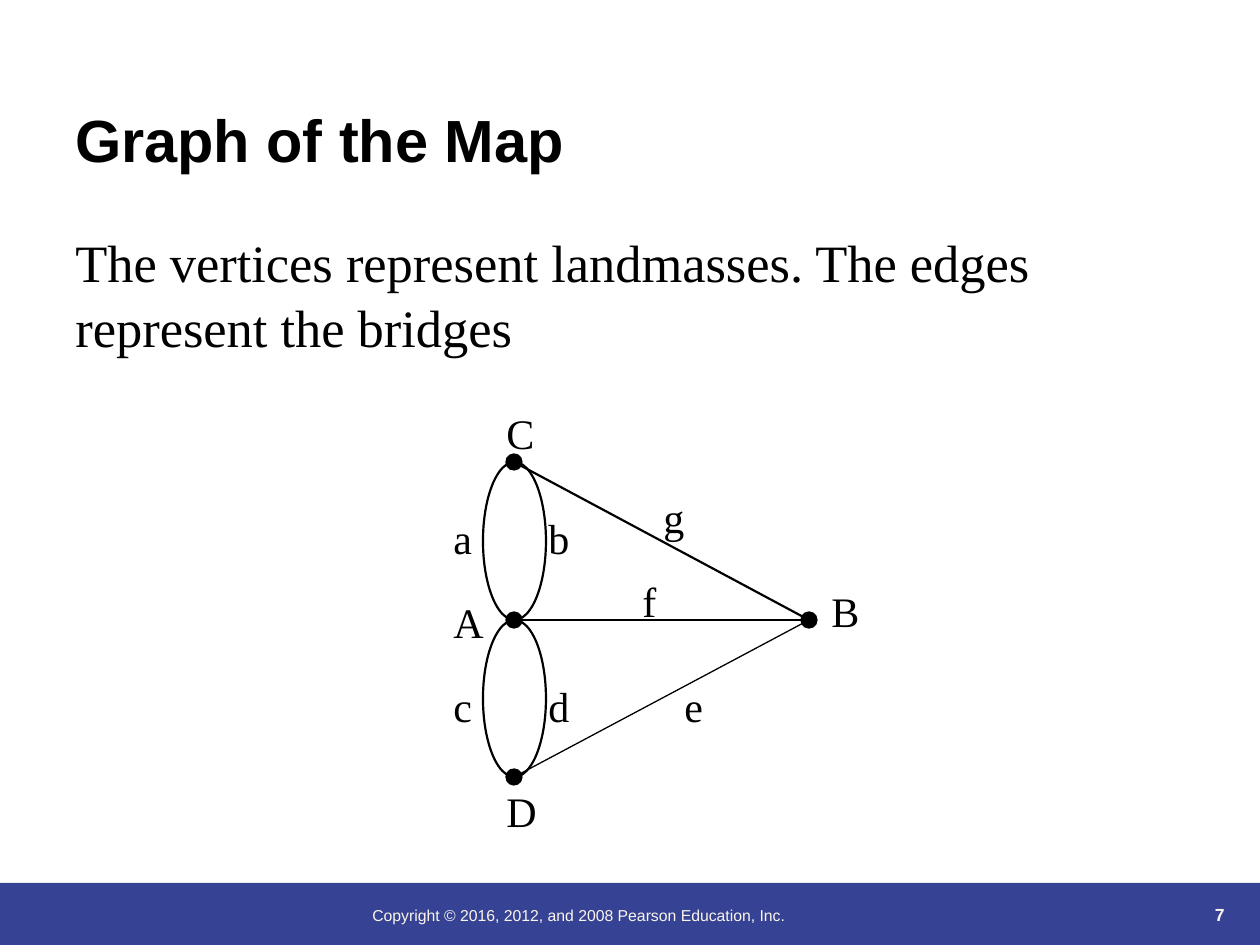
"""Builds a slide showing the bridges map as a graph of vertices and edges."""
from dataclasses import dataclass

import lxml.etree
import pptx
import pptx.dml.color
import pptx.enum.shapes
import pptx.enum.text
import pptx.oxml.ns
import pptx.util

RGBColor = pptx.dml.color.RGBColor
Align = pptx.enum.text.PP_ALIGN
Anchor = pptx.enum.text.MSO_ANCHOR
AutoSize = pptx.enum.text.MSO_AUTO_SIZE
ShapeType = pptx.enum.shapes.MSO_SHAPE

PX_PER_INCH = 126
BLACK = RGBColor(0x00, 0x00, 0x00)
BLUE = RGBColor(0x36, 0x43, 0x95)
CREAM = RGBColor(0xFB, 0xF5, 0xEA)
SANS = "Arial"
SERIF = "Times New Roman"
SERIF_SPACING = 1.04

LEFT_X, RIGHT_X = 514, 809
C_Y, A_Y, D_Y = 462, 620, 777
LOOP_WIDTH = 63
LABEL_SIZE = 63


@dataclass(frozen=True)
class TextBlock:
    text: str
    left: int
    top: int
    width: int
    height: int
    size: int
    font: str = SERIF
    color: RGBColor = BLACK
    bold: bool = False
    align: Align = Align.LEFT
    anchor: Anchor = Anchor.TOP
    grow: bool = False


@dataclass(frozen=True)
class Edge:
    start: tuple[int, int]
    end: tuple[int, int]
    width: float
    dots: tuple[str, ...]


@dataclass(frozen=True)
class Label:
    text: str
    left: int
    top: int


BLOCKS = [
    TextBlock("Copyright © 2016, 2012, and 2008 Pearson Education, Inc.",
              360, 900, 620, 63, 9, SANS, CREAM),
    TextBlock("7", 1121, 868, 116, 63, 10, SANS, CREAM, True, Align.RIGHT, Anchor.BOTTOM),
    TextBlock("The vertices represent landmasses. The edges represent the bridges",
              63, 221, 1081, 139, 30, grow=True),
    TextBlock("Graph of the Map", 63, 23, 1134, 158, 34, SANS, bold=True, anchor=Anchor.BOTTOM),
]
EDGES = [
    Edge((LEFT_X, A_Y), (RIGHT_X, A_Y), 1.25, ("headEnd", "tailEnd")),
    Edge((LEFT_X, C_Y), (RIGHT_X, A_Y), 1.25, ("headEnd",)),
    Edge((RIGHT_X, A_Y), (LEFT_X, D_Y), 0.75, ("tailEnd",)),
]
LABELS = [
    Label("A", 441, 588), Label("B", 819, 577),
    Label("C", 494, 399), Label("D", 494, 777),
    Label("a", 441, 504), Label("b", 536, 504),
    Label("c", 441, 672), Label("d", 536, 672),
    Label("e", 672, 672), Label("f", 630, 567), Label("g", 651, 483),
]


def px(length: int) -> pptx.util.Emu:
    return pptx.util.Emu(round(length * 914400 / PX_PER_INCH))


def draw_text(slide, block: TextBlock) -> None:
    shape = slide.shapes.add_textbox(px(block.left), px(block.top), px(block.width), px(block.height))
    frame = shape.text_frame
    frame.word_wrap = True
    frame.vertical_anchor = block.anchor
    frame.auto_size = AutoSize.SHAPE_TO_FIT_TEXT if block.grow else AutoSize.NONE
    paragraph = frame.paragraphs[0]
    paragraph.text = block.text
    paragraph.alignment = block.align
    if block.font == SERIF:
        paragraph.line_spacing = SERIF_SPACING
    font = paragraph.font
    font.name = block.font
    font.size = pptx.util.Pt(block.size)
    font.bold = block.bold
    font.color.rgb = block.color


def draw_footer_band(slide) -> None:
    shape = slide.shapes.add_shape(ShapeType.RECTANGLE, 0, px(883), px(1260), px(63))
    shape.shadow.inherit = False
    shape.fill.solid()
    shape.fill.fore_color.rgb = BLUE
    shape.line.fill.background()


def draw_loop(slide, top: int, bottom: int) -> None:
    shape = slide.shapes.add_shape(ShapeType.OVAL, px(LEFT_X - LOOP_WIDTH // 2), px(top),
                                   px(LOOP_WIDTH), px(bottom - top))
    shape.shadow.inherit = False
    shape.fill.background()
    shape.line.color.rgb = BLACK
    shape.line.width = pptx.util.Pt(1.25)


def draw_edge(slide, edge: Edge) -> None:
    connector = slide.shapes.add_connector(
        pptx.enum.shapes.MSO_CONNECTOR.STRAIGHT,
        *(px(value) for value in edge.start + edge.end))
    connector.line.color.rgb = BLACK
    connector.line.width = pptx.util.Pt(edge.width)
    qualified = pptx.oxml.ns.qn
    properties = connector._element.spPr
    line = properties.find(qualified("a:ln"))
    for dot in edge.dots:
        lxml.etree.SubElement(line, qualified(f"a:{dot}"), type="oval", w="lg", len="lg")
    lxml.etree.SubElement(properties, qualified("a:effectLst"))


def main() -> None:
    presentation = pptx.Presentation()
    presentation.slide_width = px(1260)
    presentation.slide_height = px(945)
    slide = presentation.slides.add_slide(presentation.slide_layouts[6])
    draw_footer_band(slide)
    for top, bottom in ((C_Y, A_Y), (A_Y, D_Y)):
        draw_loop(slide, top, bottom)
    for edge in EDGES:
        draw_edge(slide, edge)
    for block in BLOCKS:
        draw_text(slide, block)
    for label in LABELS:
        draw_text(slide, TextBlock(label.text, label.left, label.top,
                                   LABEL_SIZE, LABEL_SIZE, 24, grow=True))
    presentation.save("out.pptx")


if __name__ == "__main__":
    main()
